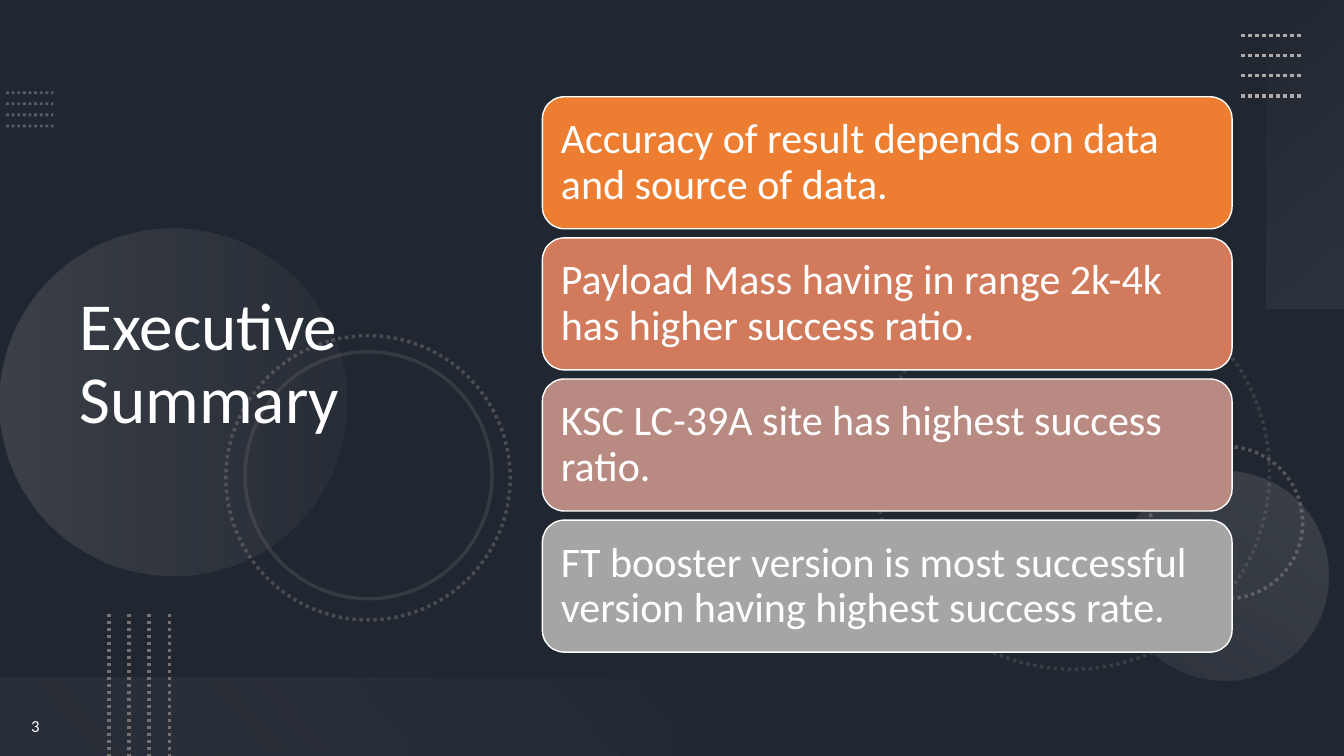
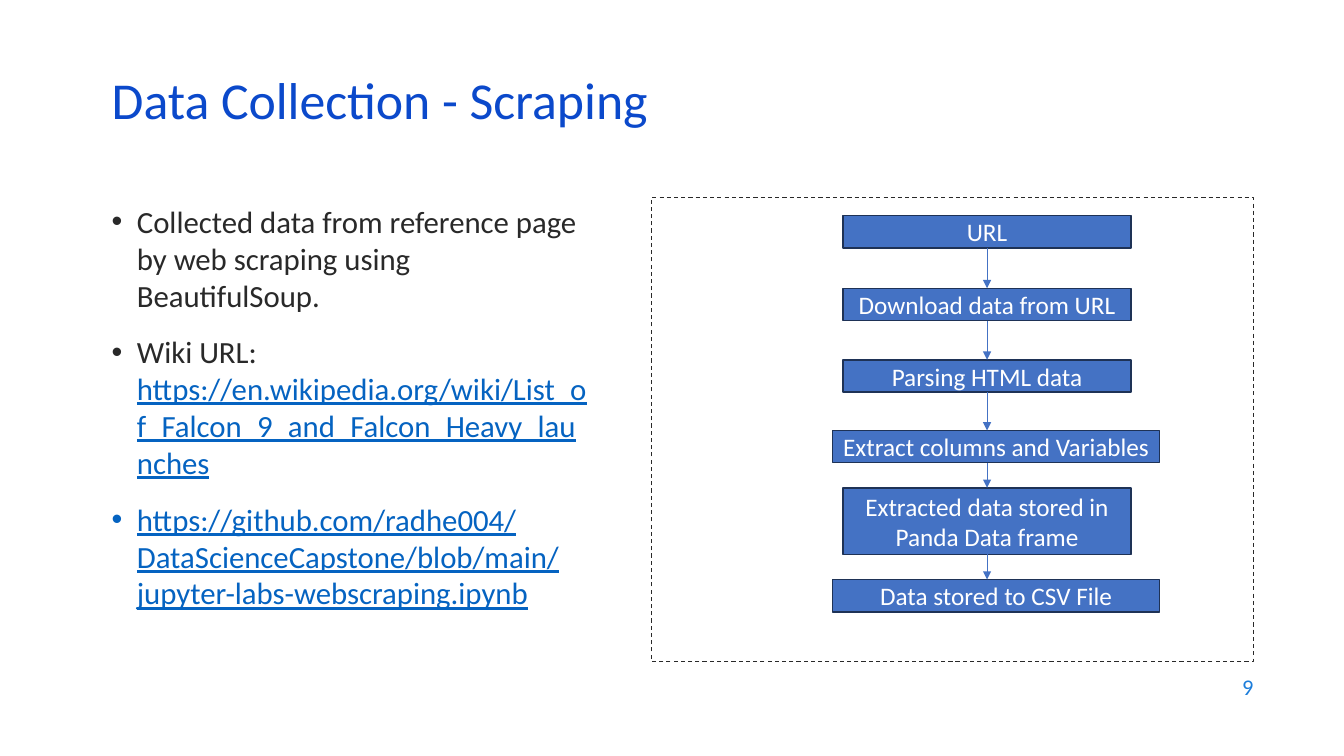
from lxml import etree
from pptx import Presentation
from pptx.dml.color import RGBColor
from pptx.enum.dml import MSO_LINE
from pptx.enum.shapes import MSO_CONNECTOR, MSO_SHAPE
from pptx.enum.text import MSO_ANCHOR, PP_ALIGN
from pptx.oxml.ns import qn
from pptx.util import Pt

PX = 9144  # 100 px to the inch
WIDTH, HEIGHT = 1333, 750
FONT = "Calibri"
RECT, ROUNDED, OVAL = MSO_SHAPE.RECTANGLE, MSO_SHAPE.ROUNDED_RECTANGLE, MSO_SHAPE.OVAL
DOT, DASH = MSO_LINE.ROUND_DOT, MSO_LINE.DASH
TOP, MIDDLE = MSO_ANCHOR.TOP, MSO_ANCHOR.MIDDLE
LEFT, CENTER, RIGHT = PP_ALIGN.LEFT, PP_ALIGN.CENTER, PP_ALIGN.RIGHT

WHITE, SLATE, BLACK = "FFFFFF", "44546A", "000000"
GREY, SILVER, STEEL = "767171", "AFABAB", "8497B0"
INK, TITLE_BLUE, NUMBER_BLUE, LINK_BLUE = "292929", "0B49CB", "1C7DDB", "0563C1"
BOX_BLUE, BOX_EDGE = "4472C4", "1E3256"

# Slide 1
CARDS = [
    ("Accuracy of result depends on data and source of data.", "ED7D31"),
    ("Payload Mass having in range 2k-4k has higher success ratio.", "D17B5C"),
    ("KSC LC-39A site has highest success ratio.", "B98A82"),
    ("FT booster version is most successful version having highest success rate.", "A5A5A5"),
]
CARD_LEFT, CARD_TOP, CARD_WIDTH, CARD_HEIGHT, CARD_STEP = 538, 96, 684, 131, 140

# left, top, diameter, dash, opacity
RINGS = [
    (869, 274, 390, DOT, 30),
    (1141, 443, 151, DOT, 60),
    (224, 333, 282, DOT, 50),
    (243, 349, 245, None, 25),
]
# shape, box, rotation, (position, colour, opacity) stops, angle
GLOWS = [
    (OVAL, (0, 227, 344, 344), 270, [(0, SILVER, 20), (1, GREY, 10)], 90),
    (OVAL, (1110, 467, 208, 208), 210, [(0, SILVER, 10), (1, SILVER, 20)], 90),
    (RECT, (1142, 114, 306, 78), 270, [(0, "F5F5F5", 0), (1, SILVER, 10)], 140),
    (RECT, (0, 672, 667, 78), 180, [(0.1, GREY, 10), (1, "F1F0F0", 0)], 140),
]
# first line from, to; step to the next line; colour, width, opacity
DOT_GRIDS = [
    ((6, 92), (53, 92), (0, 11), STEEL, 2, 50),
    ((1231, 35), (1291, 35), (0, 20), SILVER, 2.5, 100),
    ((108, 609), (108, 750), (20, 0), GREY, 2.5, 100),
]
DOT_LINES = 4

# Slide 2
BULLETS = [
    [("Collected data from reference page by web scraping using BeautifulSoup.", False)],
    [("Wiki URL: ", False),
     ("https://en.wikipedia.org/wiki/List_of_Falcon_9_and_Falcon_Heavy_launches", True)],
    [("https://github.com/radhe004/DataScienceCapstone/blob/main/"
      "jupyter-labs-webscraping.ipynb", True)],
]
NARROW, WIDE = (836, 286), (826, 324)
# text, (left, width), top, height
STEPS = [
    ("URL", NARROW, 214, 32),
    ("Download data from URL", NARROW, 286, 32),
    ("Parsing HTML data", NARROW, 357, 32),
    ("Extract columns and Variables", WIDE, 427, 32),
    ("Extracted data stored in Panda Data frame", NARROW, 484, 66),
    ("Data stored to CSV File", WIDE, 575, 32),
]
FLOW_X = NARROW[0] + NARROW[1] // 2


def rgb(colour):
    return RGBColor.from_string(colour)


def set_opacity(element, opacities):
    for colour, opacity in zip(element.iter(qn("a:srgbClr")), opacities):
        if opacity < 100:
            etree.SubElement(colour, qn("a:alpha"), val=str(opacity * 1000))


def style_line(shape, colour, width, dash=None, opacity=100):
    shape.line.color.rgb = rgb(colour)
    shape.line.width = Pt(width)
    if dash is not None:
        shape.line.dash_style = dash
    set_opacity(shape._element.spPr.find(qn("a:ln")), [opacity])


def add_shape(slide, kind, box, fill=None, rotation=0):
    shape = slide.shapes.add_shape(kind, *(length * PX for length in box))
    shape.shadow.inherit = False
    shape.rotation = rotation
    shape.line.fill.background()
    if fill:
        shape.fill.solid()
        shape.fill.fore_color.rgb = rgb(fill)
    else:
        shape.fill.background()
    return shape


def add_glow(slide, kind, box, rotation, stops, angle):
    shape = add_shape(slide, kind, box, rotation=rotation)
    shape.fill.gradient()
    shape.fill.gradient_angle = 360 - angle
    for stop, (position, colour, _) in zip(shape.fill.gradient_stops, stops):
        stop.position = position
        stop.color.rgb = rgb(colour)
    set_opacity(shape._element.spPr, [opacity for _, _, opacity in stops])


def add_line(slide, start, end, colour, width, dash=None, opacity=100, arrow=False):
    points = [length * PX for length in (*start, *end)]
    line = slide.shapes.add_connector(MSO_CONNECTOR.STRAIGHT, *points)
    style_line(line, colour, width, dash, opacity)
    properties = line._element.spPr
    if arrow:
        etree.SubElement(properties.find(qn("a:ln")), qn("a:tailEnd"), type="triangle")
    etree.SubElement(properties, qn("a:effectLst"))


def add_run(paragraph, text, size, colour, underline=False):
    run = paragraph.add_run()
    run.text = text
    formats = {"name": FONT, "size": Pt(size), "underline": underline or None}
    for name, value in formats.items():
        setattr(run.font, name, value)
    run.font.color.rgb = rgb(colour)


def write(shape, text, size, colour, anchor=MIDDLE, **formats):
    """Put one paragraph in a shape; formats are paragraph attributes."""
    frame = shape.text_frame
    frame.word_wrap = True
    frame.vertical_anchor = anchor
    paragraph = frame.paragraphs[0]
    for name, value in formats.items():
        setattr(paragraph, name, value)
    add_run(paragraph, text, size, colour)


def add_text(slide, box, text, size, colour, **formats):
    textbox = slide.shapes.add_textbox(*(length * PX for length in box))
    write(textbox, text, size, colour, **formats)


def new_slide(presentation, background):
    slide = presentation.slides.add_slide(presentation.slide_layouts[6])
    slide.background.fill.solid()
    slide.background.fill.fore_color.rgb = rgb(background)
    return slide


def add_decoration(slide):
    veil = add_shape(slide, RECT, (0, 0, WIDTH, HEIGHT), BLACK)
    set_opacity(veil._element.spPr, [53])
    for left, top, diameter, dash, opacity in RINGS:
        ring = add_shape(slide, OVAL, (left, top, diameter, diameter), rotation=75)
        style_line(ring, GREY, 2.5, dash, opacity)
    for glow in GLOWS:
        add_glow(slide, *glow)
    for start, end, (dx, dy), colour, width, opacity in DOT_GRIDS:
        for index in range(DOT_LINES):
            shifted = [(x + index * dx, y + index * dy) for x, y in (start, end)]
            add_line(slide, *shifted, colour, width, DOT, opacity)


def build_summary(presentation):
    slide = new_slide(presentation, SLATE)
    add_decoration(slide)
    add_text(slide, (69, 54, 459, 617), "Executive Summary", 48, WHITE, line_spacing=0.9)
    add_text(slide, (0, 690, 70, 60), "3", 12, WHITE, alignment=CENTER)
    for index, (text, fill) in enumerate(CARDS):
        top = CARD_TOP + index * CARD_STEP
        card = add_shape(slide, ROUNDED, (CARD_LEFT, top, CARD_WIDTH, CARD_HEIGHT), fill)
        style_line(card, WHITE, 1)
        for side in ("left", "top", "right", "bottom"):
            setattr(card.text_frame, f"margin_{side}", 12 * PX)
        write(card, text, 30, WHITE, alignment=LEFT, line_spacing=0.9)


def add_bullets(slide, box):
    frame = slide.shapes.add_textbox(*(length * PX for length in box)).text_frame
    frame.word_wrap = True
    frame.vertical_anchor = TOP
    for index, runs in enumerate(BULLETS):
        paragraph = frame.add_paragraph() if index else frame.paragraphs[0]
        properties = paragraph._p.get_or_add_pPr()
        properties.set("marL", str(25 * PX))
        properties.set("indent", str(-25 * PX))
        etree.SubElement(properties, qn("a:buFont"), typeface="Arial")
        etree.SubElement(properties, qn("a:buChar"), char="•")
        if index:
            paragraph.space_before = Pt(14)
        for text, is_link in runs:
            add_run(paragraph, text, 22, LINK_BLUE if is_link else INK, is_link)


def build_scraping(presentation):
    slide = new_slide(presentation, WHITE)
    add_text(slide, (953, 659, 300, 44), "9", 16, NUMBER_BLUE, alignment=RIGHT)
    add_bullets(slide, (101, 196, 493, 417))
    add_text(slide, (101, 76, 1150, 60), "Data Collection - Scraping", 37, TITLE_BLUE,
             line_spacing=0.7)
    frame = add_shape(slide, RECT, (646, 196, 597, 460))
    style_line(frame, INK, 0.75, DASH)
    for text, (left, width), top, height in STEPS:
        box = add_shape(slide, RECT, (left, top, width, height), BOX_BLUE)
        style_line(box, BOX_EDGE, 1)
        write(box, text, 18, WHITE, alignment=CENTER)
    for (_, _, top, height), (_, _, next_top, _) in zip(STEPS, STEPS[1:]):
        add_line(slide, (FLOW_X, top + height), (FLOW_X, next_top), BOX_BLUE, 0.5, arrow=True)


def main():
    presentation = Presentation()
    presentation.slide_width = WIDTH * PX
    presentation.slide_height = HEIGHT * PX
    build_summary(presentation)
    build_scraping(presentation)
    presentation.save("out.pptx")


if __name__ == "__main__":
    main()
